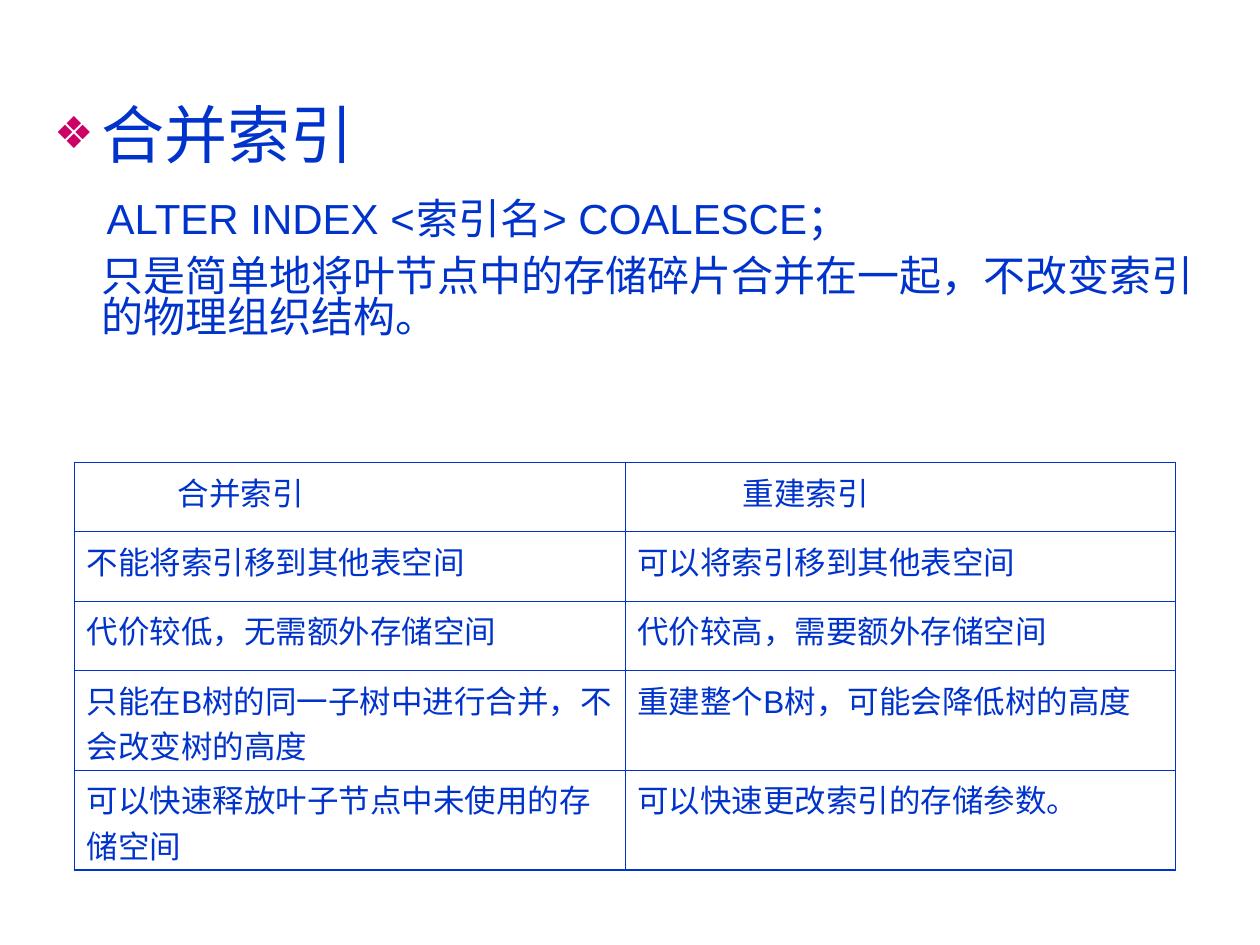
from lxml.etree import SubElement
from pptx import Presentation
from pptx.dml.color import RGBColor
from pptx.oxml.ns import qn
from pptx.util import Pt

COLORS = {"text": "0033CC", "bullet": "CC0066"}
FONT = "Arial"
OUTER_LINE, INNER_LINE = Pt(1.08), Pt(0.45)


def write_text(paragraph, text, size, left=0, hanging=0, before=None,
               spacing=None, bullet=None, tab=None):
    """Fill a paragraph; left, hanging, before and tab are in points."""
    properties = paragraph._p.get_or_add_pPr()
    properties.set("marL", str(Pt(left)))
    properties.set("indent", str(Pt(-hanging)))
    if bullet:
        color = SubElement(properties, qn("a:buClr"))
        SubElement(color, qn("a:srgbClr"), val=COLORS["bullet"])
        SubElement(properties, qn("a:buSzPct"), val="70000")
        SubElement(properties, qn("a:buFont"), typeface=FONT)
        SubElement(properties, qn("a:buChar"), char=bullet)
    else:
        SubElement(properties, qn("a:buNone"))
    if tab:
        tabs = SubElement(properties, qn("a:tabLst"))
        SubElement(tabs, qn("a:tab"), pos=str(Pt(tab)), algn="l")
    if before is not None:
        paragraph.space_before = Pt(before)
    if spacing:
        paragraph.line_spacing = spacing
    run = paragraph.add_run()
    run.text = text
    run.font.name = FONT
    run.font.size = Pt(size)
    run.font.color.rgb = RGBColor.from_string(COLORS["text"])


def add_border(cell, side, width):
    line = SubElement(cell._tc.get_or_add_tcPr(), qn(f"a:ln{side}"), w=str(width))
    fill = SubElement(line, qn("a:solidFill"))
    SubElement(fill, qn("a:srgbClr"), val=COLORS["text"])


presentation = Presentation()
presentation.slide_width, presentation.slide_height = Pt(720), Pt(540)
slide = presentation.slides.add_slide(presentation.slide_layouts[6])

# Explanation of the statement
body = slide.shapes.add_textbox(Pt(23.8), Pt(59), Pt(672.5), Pt(180)).text_frame
body.word_wrap = True
body_paragraphs = [
    ("合并索引", dict(size=36, hanging=27, bullet="❖")),
    ("ALTER INDEX <\t索引名> COALESCE；", dict(size=24, hanging=-3, before=17, tab=216)),
    ("只是简单地将叶节点中的存储碎片合并在一起，不改变索引的物理组织结构。",
     dict(size=24, before=9)),
]
for index, (text, text_format) in enumerate(body_paragraphs):
    paragraph = body.add_paragraph() if index else body.paragraphs[0]
    write_text(paragraph, text, left=27, spacing=0.82, **text_format)

# Comparison table
rows = [
    ("合并索引", "重建索引"),
    ("不能将索引移到其他表空间", "可以将索引移到其他表空间"),
    ("代价较低，无需额外存储空间", "代价较高，需要额外存储空间"),
    ("只能在B树的同一子树中进行合并，不会改变树的高度", "重建整个B树，可能会降低树的高度"),
    ("可以快速释放叶子节点中未使用的存储空间", "可以快速更改索引的存储参数。"),
]
row_heights = [39.6, 39.6, 39.6, 57, 57]
header_indents = [52, 60]
column_width = 314.6
last_row, last_column = len(rows) - 1, len(rows[0]) - 1

table = slide.shapes.add_table(
    len(rows), len(rows[0]), Pt(42.5), Pt(264.3),
    Pt(2 * column_width), Pt(sum(row_heights))).table
table.first_row = table.horz_banding = False
for column in table.columns:
    column.width = Pt(column_width)
for row_index, texts in enumerate(rows):
    table.rows[row_index].height = Pt(row_heights[row_index])
    for column_index, text in enumerate(texts):
        cell = table.cell(row_index, column_index)
        outer_sides = {
            "L": column_index == 0,
            "R": column_index == last_column,
            "T": row_index == 0,
            "B": row_index == last_row,
        }
        for side, is_outer in outer_sides.items():
            add_border(cell, side, OUTER_LINE if is_outer else INNER_LINE)
        cell.fill.background()
        indent = header_indents[column_index] if row_index == 0 else 0
        write_text(cell.text_frame.paragraphs[0], text, size=18, left=indent)

presentation.save("out.pptx")
